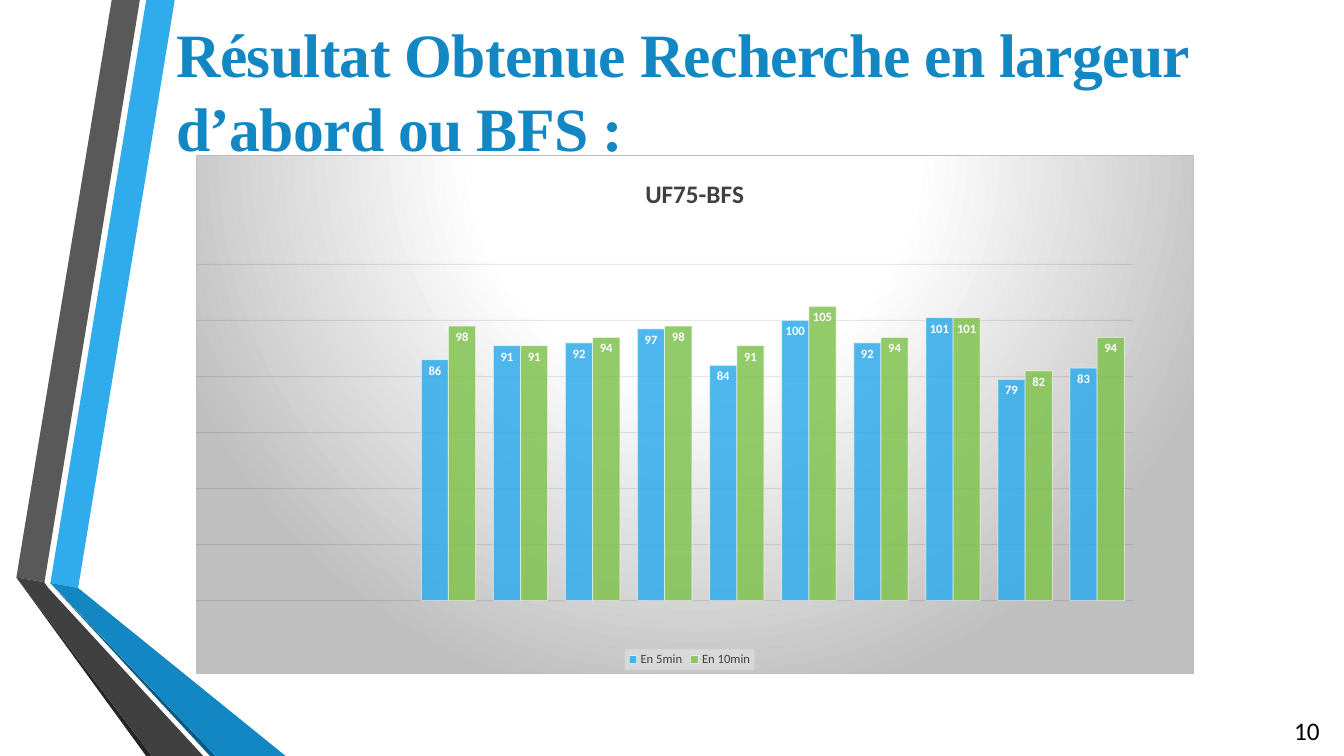
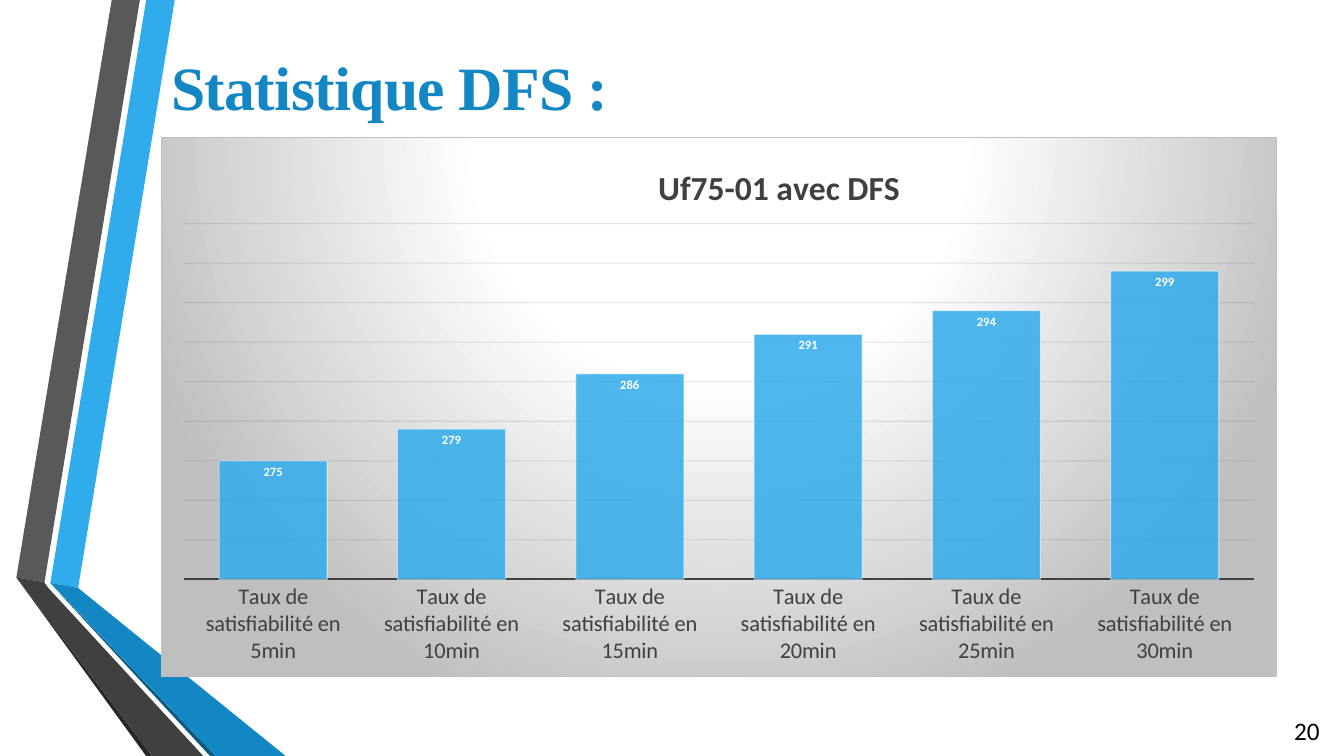
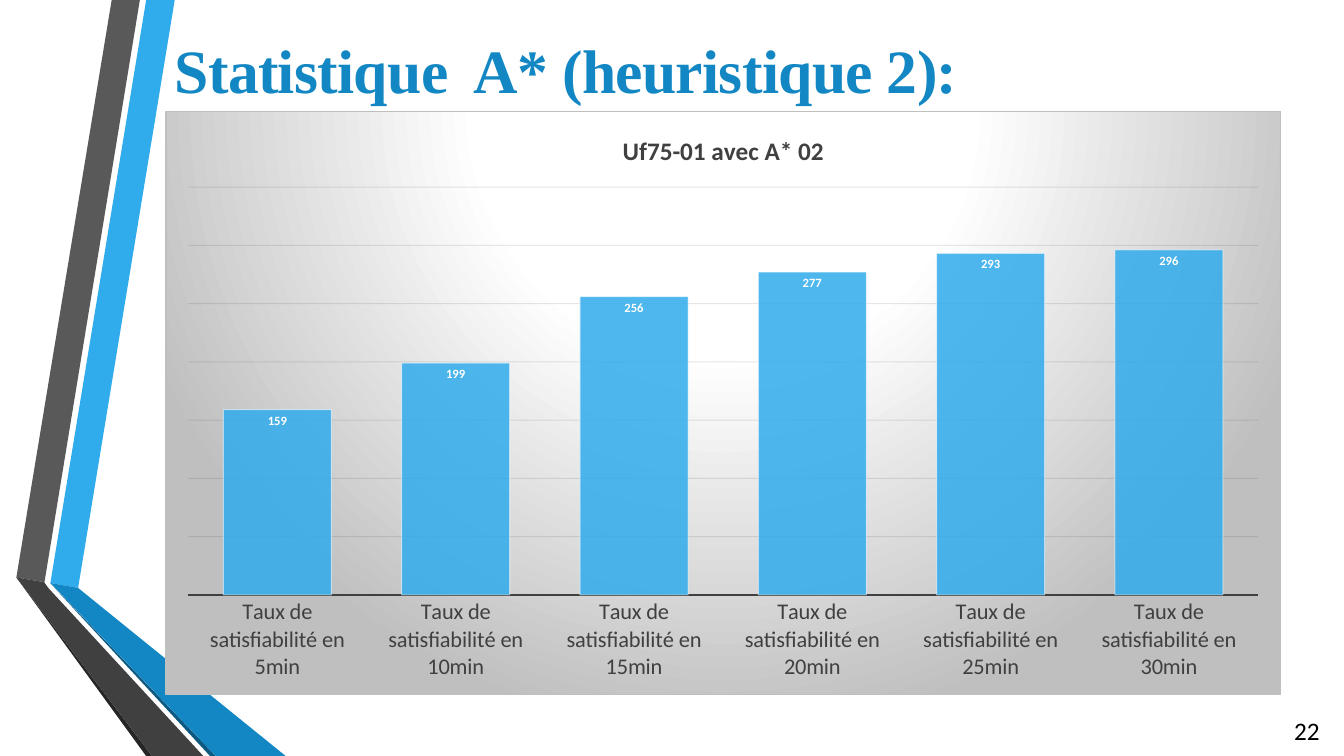
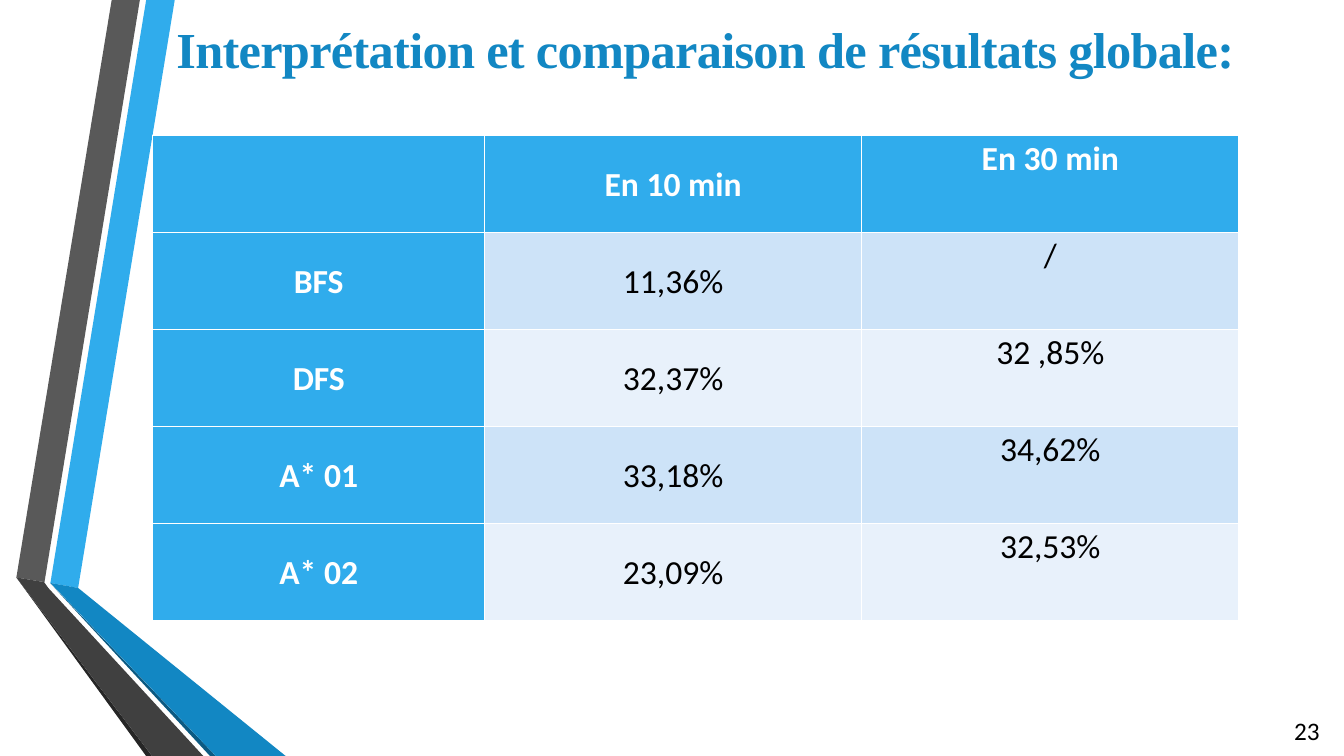
from pptx import Presentation, util as u
from pptx.chart.data import CategoryChartData
from pptx.dml.color import RGBColor
from pptx.enum import chart as kinds, text
from pptx.oxml import parse_xml
from pptx.oxml.ns import nsdecls, qn

CELL = u.Inches(1 / 12)  # the slide is 160 columns by 90 rows
SKY, BLUE, DARK, WHITE, BLACK, SILVER = (
    "30ACEC", "1287C3", "404040", "FFFFFF", "000000", "BFBFBF")
SERIF, SANS = "Times New Roman", "Calibri"


def grid(*steps):
    """Turn columns and rows into lengths."""
    return [round(step * CELL) for step in steps]


def paint(fill, color, share=100):
    """Fill with a hex colour, opaque to the given percentage."""
    fill.solid()
    fill.fore_color.rgb = RGBColor.from_string(color)
    if share < 100:
        tint = fill._xPr.find(".//" + qn("a:srgbClr"))
        tint.append(parse_xml(f'<a:alpha {nsdecls("a")} val="{share * 1000}"/>'))


deck = Presentation()
deck.slide_width, deck.slide_height = grid(160, 90)
layout = deck.slide_layouts[5]

# Titles and page numbers
heads = [
    ("Résultat Obtenue Recherche en largeur d’abord ou BFS :", 44, 19.8, 1.3, 19, 10),
    ("Statistique DFS :", 44, 19.2, 5.2, 10, 20),
    ("Statistique  A* (heuristique 2):", 44, 19.6, 3.2, 10, 22),
    ("Interprétation et comparaison de résultats globale:", 36, 19.8, 1.6, 8.5, 23),
]
slides = []
for words, size, left, top, high, page in heads:
    slide = deck.slides.add_slide(layout)
    slides.append(slide)
    title = slide.shapes.title
    title.left, title.top, title.width, title.height = grid(left, top, 138, high)
    title.text = words
    frame = title.text_frame
    frame.word_wrap = True
    frame.auto_size = text.MSO_AUTO_SIZE.NONE
    frame.vertical_anchor = text.MSO_ANCHOR.TOP
    para = frame.paragraphs[0]
    para.alignment = text.PP_ALIGN.LEFT
    font = para.font
    font.name, font.size, font.bold = SERIF, u.Pt(size), True
    font._rPr.set("spc", "-50")
    paint(font.fill, BLUE)

    frame = slide.shapes.add_textbox(*grid(152.9, 84.6, 6.5, 4.8)).text_frame
    frame.word_wrap = True
    frame.text = str(page)
    font = frame.paragraphs[0].font
    font.name, font.size = SANS, u.Pt(18)
    paint(font.fill, BLACK)

# Bands, moved to the layout that all slides share
bands = [
    (SKY, [(6, 69.4), (9.3, 70), (20.8, 0), (17.4, 0)]),
    ("595959", [(16.65, 0), (13.3, 0), (1.95, 68.75), (5.3, 69.3)]),
    ("262626", [(1.95, 68.75), (17.4, 90), (18.1, 90)]),
    ("0C5A82", [(6, 69.45), (25, 90), (25.7, 90)]),
    (BLUE, [(6, 69.4), (25.7, 90), (34, 90), (9.3, 70)]),
    (DARK, [(24.2, 90), (5.75, 70), (5.25, 69.3), (1.95, 68.75), (18.1, 90)]),
]
for color, spots in bands:
    first, *rest = [grid(*spot) for spot in spots]
    pen = slides[0].shapes.build_freeform(*first)
    pen.add_line_segments(rest)
    band = pen.convert_to_shape()
    band.shadow.inherit = False
    paint(band.fill, color)
    band.line.fill.background()
    layout.shapes.element.append(band.element)

# Charts
times = [f"Taux de satisfiabilité en {n}min" for n in range(5, 31, 5)]
gap = [None] * 3
charts = [
    dict(name="UF75-BFS", size=18, area=(23.3, 18.5, 118.8, 61.7),
         cats=[str(n) for n in range(1, 14)], scale=(0, 120, 20),
         plot=(0, 0.21, 0.94, 0.65),
         rows=[("En 5min", SKY, gap + [86, 91, 92, 97, 84, 100, 92, 101, 79, 83]),
               ("En 10min", "80C34F", gap + [98, 91, 94, 98, 91, 105, 94, 101, 82, 94])]),
    dict(name="Uf75-01 avec DFS", size=24, area=(19.2, 16.3, 132.8, 64.3),
         cats=times, scale=(260, 305, 5), plot=(0.02, 0.16, 0.96, 0.66),
         rows=[("Uf75-01 avec DFS", SKY, [275, 279, 286, 291, 294, 299])]),
    dict(name="Uf75-01 avec A* 02", size=18, area=(19.7, 13.2, 132.8, 69.5),
         cats=times, scale=(0, 350, 50), plot=(0.02, 0.13, 0.96, 0.7),
         rows=[("Uf75-01 avec A* 02", SKY, [159, 199, 256, 277, 293, 296])]),
]
stops = "".join(
    f'<a:gs pos="{at}000"><a:srgbClr val="{color}"/></a:gs>'
    for at, color in [(0, WHITE), (39, WHITE), (100, SILVER)])
ground = f"""<c:spPr {nsdecls("c", "a")}>
  <a:gradFill><a:gsLst>{stops}</a:gsLst><a:path path="circle">
  <a:fillToRect l="50000" t="-80000" r="50000" b="180000"/></a:path></a:gradFill>
  <a:ln w="9525"><a:solidFill><a:srgbClr val="{SILVER}"/></a:solidFill></a:ln>
</c:spPr>"""
veil = f"""<c:spPr {nsdecls("c", "a")}><a:solidFill><a:srgbClr val="F2F2F2">
  <a:alpha val="39000"/></a:srgbClr></a:solidFill></c:spPr>"""

for slide, item in zip(slides, charts):
    data = CategoryChartData()
    data.categories = item["cats"]
    for name, color, vals in item["rows"]:
        data.add_series(name, vals)
    chart = slide.shapes.add_chart(
        kinds.XL_CHART_TYPE.COLUMN_CLUSTERED, *grid(*item["area"]), data).chart
    chart.font.name, chart.font.size = SANS, u.Pt(10)
    root = chart._chartSpace.find(qn("c:chart"))
    root.addnext(parse_xml(ground))

    chart.chart_title.text_frame.text = item["name"]
    font = chart.chart_title.text_frame.paragraphs[0].font
    font.name, font.size, font.bold = SANS, u.Pt(item["size"]), True
    paint(font.fill, DARK)

    plot = chart.plots[0]
    plot.gap_width, plot.overlap, plot.vary_by_categories = 65, 0, False
    plot.has_data_labels = True
    labels = plot.data_labels
    labels.show_value = True
    labels.position = kinds.XL_LABEL_POSITION.INSIDE_END
    font = labels.font
    font.name, font.size, font.bold = SANS, u.Pt(9), True
    paint(font.fill, WHITE)
    for bars, (name, color, vals) in zip(plot.series, item["rows"]):
        paint(bars.format.fill, color, 85)
        paint(bars.format.line.fill, WHITE, 50)
        bars.format.line.width = u.Pt(0.75)

    axis = chart.value_axis
    axis.visible = False
    axis.minimum_scale, axis.maximum_scale, axis.major_unit = item["scale"]
    axis.has_major_gridlines = True
    line = axis.major_gridlines.format.line
    line.width = u.Pt(0.75)
    paint(line.fill, "0D0D0D", 10)

    spots = [(root.find(qn("c:plotArea")), 0, item["plot"])]
    axis = chart.category_axis
    chart.has_legend = len(item["rows"]) > 1
    if chart.has_legend:
        axis.visible = False
        legend = chart.legend
        legend.position = kinds.XL_LEGEND_POSITION.BOTTOM
        legend.include_in_layout = False
        legend.font.name, legend.font.size = SANS, u.Pt(9)
        paint(legend.font.fill, DARK)
        key = root.find(qn("c:legend"))
        key.find(qn("c:overlay")).addnext(parse_xml(veil))
        spots.append((key, 1, (0.43, 0.96, 0.13, 0.04)))
    else:
        axis.major_tick_mark = kinds.XL_TICK_MARK.NONE
        font = axis.tick_labels.font
        font.name, font.size = SANS, u.Pt(16)
        paint(font.fill, DARK)
        axis.format.line.width = u.Pt(1.5)
        paint(axis.format.line.fill, DARK)
    if item["size"] == 24:
        spots.append((root.find(qn("c:title")), 1, (0.44, 0.04)))

    for part, index, sizes in spots:
        old = part.find(qn("c:layout"))
        if old is not None:
            part.remove(old)
        inner = '<c:layoutTarget val="inner"/>' if index == 0 else ""
        modes = '<c:xMode val="edge"/><c:yMode val="edge"/>'
        marks = "".join(f'<c:{key} val="{val}"/>' for key, val in zip("xywh", sizes))
        part.insert(index, parse_xml(
            f'<c:layout {nsdecls("c")}><c:manualLayout>{inner}{modes}{marks}'
            '</c:manualLayout></c:layout>'))

# Table
rows = [
    ("", "En 10 min", "En 30 min"),
    ("BFS", "11,36%", "/"),
    ("DFS", "32,37%", "32 ,85%"),
    ("A* 01", "33,18%", "34,62%"),
    ("A* 02", "23,09%", "32,53%"),
]
table = slides[3].shapes.add_table(5, 3, *grid(18.2, 16.1, 129.3, 57.8)).table
table.first_col = True
for column, wide in zip(table.columns, grid(39.5, 44.9, 44.9)):
    column.width = wide
for r, row in enumerate(rows):
    for c, words in enumerate(row):
        cell = table.cell(r, c)
        head = r == 0 or c == 0
        paint(cell.fill, SKY if head else ("E8F1FB", "CDE3F8")[r % 2])
        cell.margin_left = cell.margin_right = u.Inches(0.05)
        cell.margin_top = cell.margin_bottom = 0
        cell.vertical_anchor = text.MSO_ANCHOR.TOP if c == 2 else text.MSO_ANCHOR.MIDDLE
        cell.text = words
        para = cell.text_frame.paragraphs[0]
        para.alignment, para.line_spacing = text.PP_ALIGN.CENTER, 1.07
        font = para.font
        font.name, font.size, font.bold = SANS, u.Pt(24), head
        paint(font.fill, WHITE if head else BLACK)

deck.save("out.pptx")
